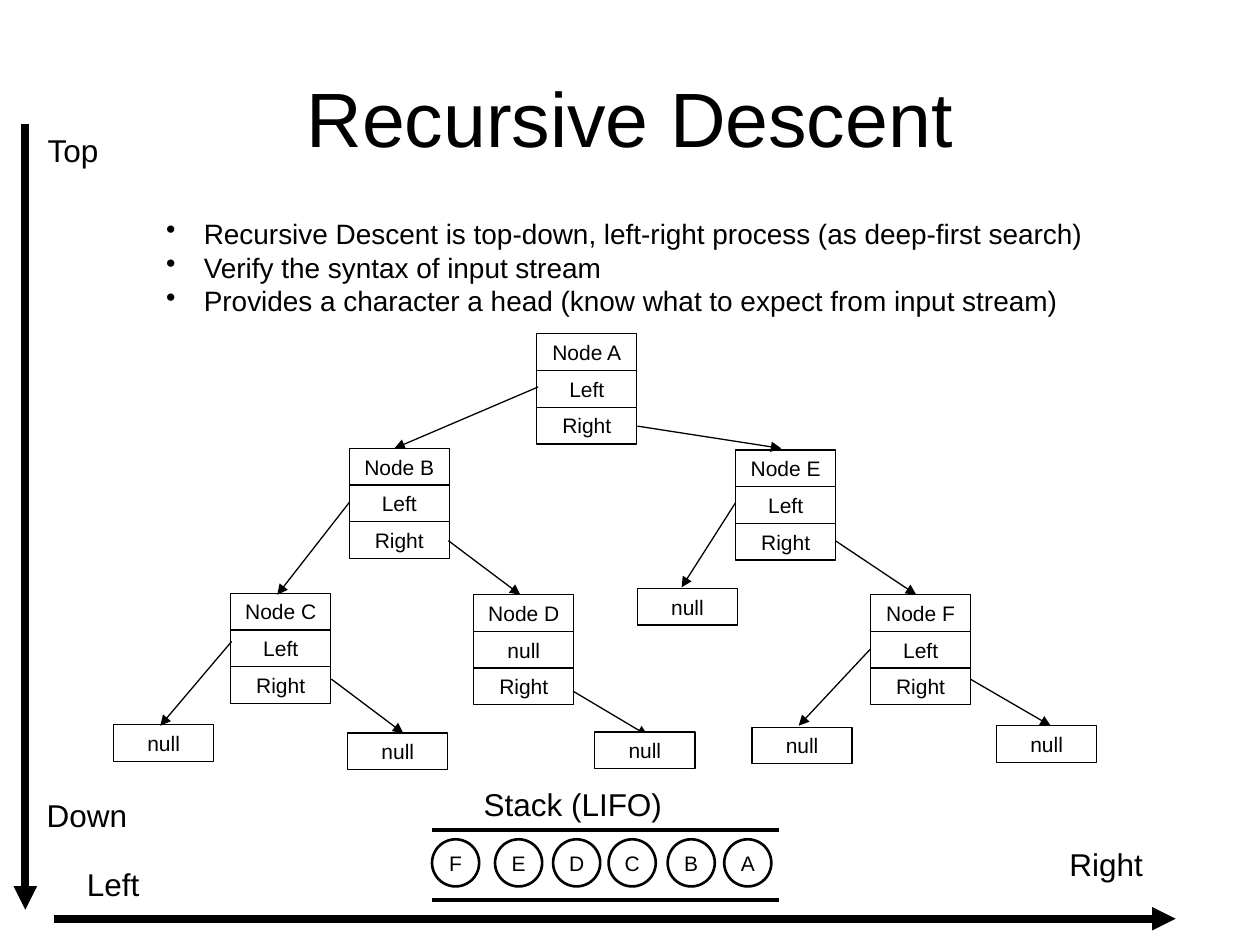
from pptx import Presentation
from pptx.dml.color import RGBColor
from pptx.enum.shapes import MSO_CONNECTOR, MSO_SHAPE
from pptx.enum.text import MSO_ANCHOR, PP_ALIGN
from pptx.oxml.ns import qn
from pptx.util import Cm, Pt
from lxml import etree

RECT, OVAL = MSO_SHAPE.RECTANGLE, MSO_SHAPE.OVAL
STRAIGHT = MSO_CONNECTOR.STRAIGHT
LEFT, CENTER = PP_ALIGN.LEFT, PP_ALIGN.CENTER
TOP, MIDDLE = MSO_ANCHOR.TOP, MSO_ANCHOR.MIDDLE


def color(code):
    return RGBColor.from_string(code)


class Board:
    font, ink, paper = "Arial", "000000", "FFFFFF"
    cell_w, cell_h = 2.02, 0.74

    def __init__(self, slide):
        self.slide = slide

    def label(self, frame, lines, size, align, anchor, bullet=False):
        frame.word_wrap = True
        frame.vertical_anchor = anchor
        for i, line in enumerate(lines):
            para = frame.add_paragraph() if i else frame.paragraphs[0]
            para.text = line
            para.alignment = align
            if bullet:
                props = para._p.get_or_add_pPr()
                props.set("marL", str(Cm(0.76)))
                props.set("indent", str(-Cm(0.76)))
                etree.SubElement(props, qn("a:buChar")).set("char", "•")
            para.font.name = self.font
            para.font.size = Pt(size)
            para.font.color.rgb = color(self.ink)

    def text(self, x, y, w, h, lines, size=18, align=LEFT, anchor=TOP, bullet=False):
        box = self.slide.shapes.add_textbox(Cm(x), Cm(y), Cm(w), Cm(h))
        self.label(box.text_frame, lines, size, align, anchor, bullet)

    def shape(self, kind, x, y, w, h, name, width):
        item = self.slide.shapes.add_shape(kind, Cm(x), Cm(y), Cm(w), Cm(h))
        item.shadow.inherit = False
        item.fill.solid()
        item.fill.fore_color.rgb = color(self.paper)
        item.line.color.rgb = color(self.ink)
        item.line.width = Pt(width)
        frame = item.text_frame
        frame.margin_left = frame.margin_right = 0
        frame.margin_top = frame.margin_bottom = 0
        self.label(frame, [name], 12, CENTER, MIDDLE)

    def node(self, x, y, *rows):
        for i, row in enumerate(rows):
            top = y + i * self.cell_h
            self.shape(RECT, x, top, self.cell_w, self.cell_h, row, 0.75)

    def line(self, x1, y1, x2, y2, width=0.75, arrow=True):
        link = self.slide.shapes.add_connector(
            STRAIGHT, Cm(x1), Cm(y1), Cm(x2), Cm(y2))
        link.line.color.rgb = color(self.ink)
        link.line.width = Pt(width)
        props = link._element.spPr
        if arrow:
            tail = etree.SubElement(props.find(qn("a:ln")), qn("a:tailEnd"))
            tail.set("type", "triangle")
        etree.SubElement(props, qn("a:effectLst"))


def main():
    deck = Presentation()
    deck.slide_width, deck.slide_height = Cm(25.4), Cm(19.05)
    board = Board(deck.slides.add_slide(deck.slide_layouts[6]))

    stack = {"B": 13.46, "C": 12.27, "D": 11.15, "E": 9.98, "F": 8.71, "A": 14.6}
    for name, x in stack.items():
        board.shape(OVAL, x, 16.92, 0.95, 0.95, name, 1.5)
    for y in (18.14, 16.74):
        board.line(8.71, y, 15.7, y, 2.25, arrow=False)

    board.line(0.51, 2.51, 0.51, 18.34, 4.5)
    board.line(1.09, 18.52, 23.7, 18.52, 4.5)
    for name, x, y, w in (
        ("Stack (LIFO)", 9.5, 15.7, 7.59),
        ("Top", 0.71, 2.51, 2.39),
        ("Down", 0.69, 15.93, 2.21),
        ("Left", 1.5, 17.32, 2.79),
        ("Right", 21.31, 16.92, 2.79),
    ):
        board.text(x, y, w, 1.02, [name])

    board.line(11.53, 13.92, 13.06, 14.83)
    for name, x, y, left in (
        ("A", 10.82, 6.73, "Left"),
        ("B", 7.04, 9.04, "Left"),
        ("C", 4.65, 11.96, "Left"),
        ("D", 9.55, 11.99, "null"),
        ("E", 14.83, 9.07, "Left"),
        ("F", 17.55, 11.99, "Left"),
    ):
        board.node(x, y, f"Node {name}", left, "Right")
    for x, y in (
        (2.29, 14.61), (7.01, 14.78), (11.99, 14.76),
        (12.85, 11.86), (15.16, 14.66), (20.09, 14.63),
    ):
        board.node(x, y, "null")

    for ends in (
        (10.85, 7.8, 7.95, 9.04),
        (12.85, 8.59, 15.75, 9.04),
        (7.04, 10.13, 5.59, 11.99),
        (4.67, 12.93, 3.23, 14.63),
        (9.04, 10.9, 10.49, 11.99),
        (6.68, 13.69, 8.13, 14.78),
        (14.83, 10.13, 13.74, 11.84),
        (16.84, 10.9, 18.47, 11.99),
        (17.55, 13.08, 16.1, 14.63),
        (19.56, 13.69, 21.18, 14.63),
    ):
        board.line(*ends)

    board.text(3.1, 4.24, 20.6, 2.29, [
        "Recursive Descent is top-down, left-right process (as deep-first search)",
        "Verify the syntax of input stream",
        "Provides a character a head (know what to expect from input stream)",
    ], 16, bullet=True)
    board.text(1.27, 0.76, 22.86, 3.18, ["Recursive Descent"], 44, CENTER, MIDDLE)
    deck.save("out.pptx")


if __name__ == "__main__":
    main()
